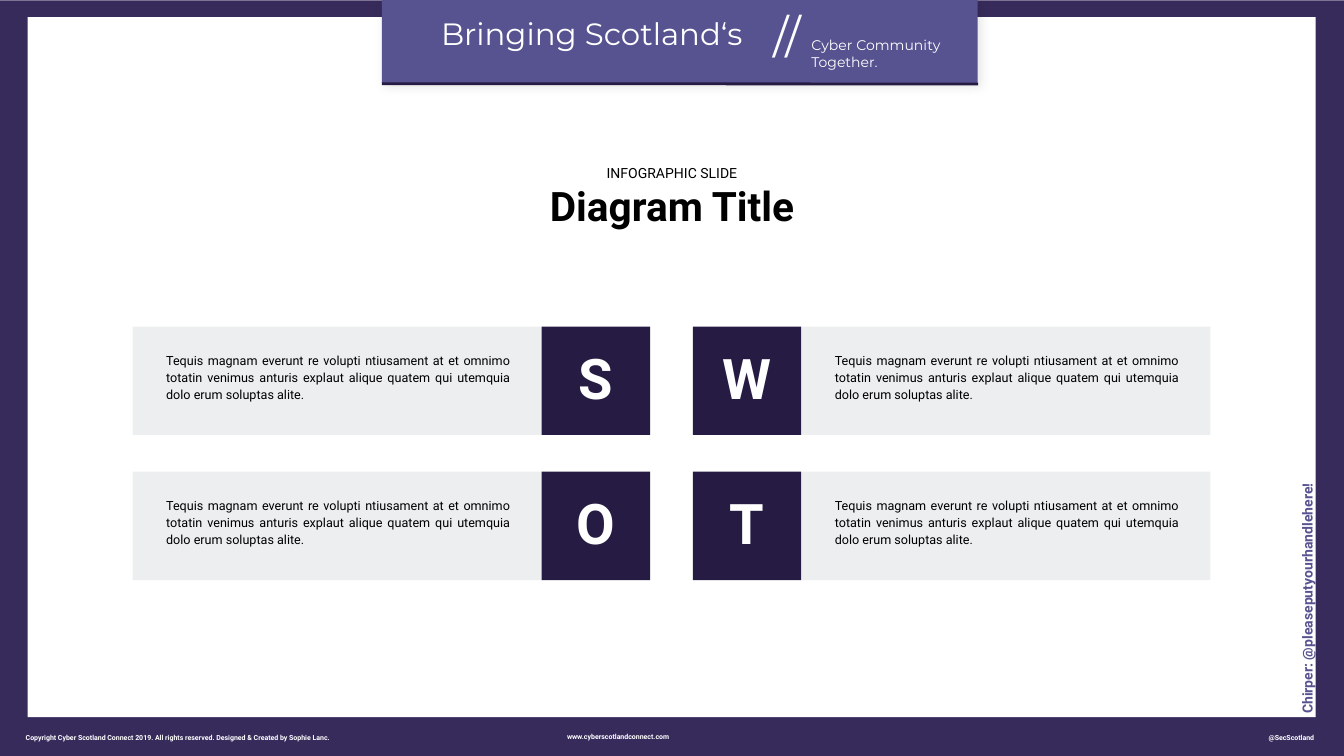
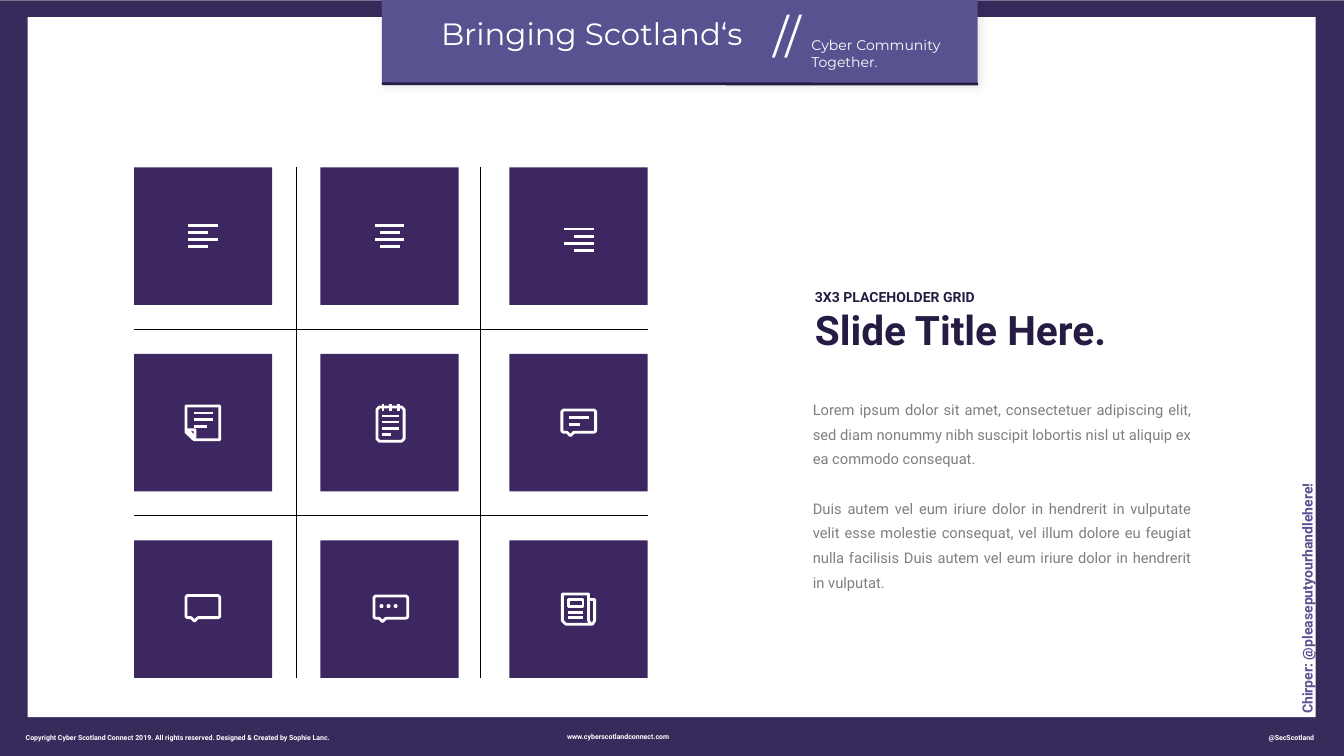
from dataclasses import dataclass
from typing import NamedTuple

from lxml import etree
from pptx import Presentation
from pptx.dml.color import RGBColor
from pptx.enum.shapes import MSO_CONNECTOR, MSO_SHAPE
from pptx.enum.text import MSO_ANCHOR, MSO_AUTO_SIZE, PP_ALIGN
from pptx.oxml.ns import qn
from pptx.util import Emu, Inches, Pt

RECT, OVAL, STRAIGHT = MSO_SHAPE.RECTANGLE, MSO_SHAPE.OVAL, MSO_CONNECTOR.STRAIGHT
LEFT, MID, JUST = PP_ALIGN.LEFT, PP_ALIGN.CENTER, PP_ALIGN.JUSTIFY
TOP, CORE, BASE = MSO_ANCHOR.TOP, MSO_ANCHOR.MIDDLE, MSO_ANCHOR.BOTTOM

# The slide is a grid of 160 columns by 90 rows of square cells.
WIDE, HIGH = Inches(26.67), Inches(15)
CELL = HIGH / 90
DOT = Inches(0.01)  # fine grid of the icons

WHITE, BLACK, GREY, PALE = "FFFFFF", "000000", "7F7F7F", "ECEEF0"
FRAME, BANNER, INK, TILE = "372B5C", "575390", "261B42", "3D2761"
BODY, HEAD = "Roboto", "Montserrat"


class Box(NamedTuple):
    """Left, top, width and height in grid cells."""
    x: float
    y: float
    w: float
    h: float


@dataclass(frozen=True)
class Label:
    text: str
    box: Box
    size: float
    hue: str = WHITE
    face: str = BODY
    bold: bool = False
    align: PP_ALIGN = MID
    anchor: MSO_ANCHOR = TOP
    inset: float = 0
    lead: float = 1
    turn: float = 0


class Path(NamedTuple):
    points: list
    closed: bool = True


@dataclass(frozen=True)
class Icon:
    """Lines (x0, y0, x1, y1), outlines and dot centres, in dots from the tile's centre."""
    lines: tuple = ()
    paths: tuple = ()
    dots: tuple = ()


def rgb(hue: str) -> RGBColor:
    return RGBColor.from_string(hue)


def cells(*counts: float) -> list:
    return [Emu(round(n * CELL)) for n in counts]


def block(shapes, kind, place, hue: str):
    shape = shapes.add_shape(kind, *place)
    shape.shadow.inherit = False
    shape.fill.solid()
    shape.fill.fore_color.rgb = rgb(hue)
    shape.line.fill.background()
    return shape


def rule(shapes, ends, hue: str, width: float) -> None:
    line = shapes.add_connector(STRAIGHT, *ends)
    line.line.color.rgb = rgb(hue)
    line.line.width = Pt(width)
    etree.SubElement(line.element.spPr, qn("a:effectLst"))


def shade(shape) -> None:
    """Give the shape a soft shadow down to the right."""
    effect = shape.element.spPr.find(qn("a:effectLst"))
    outer = etree.SubElement(effect, qn("a:outerShdw"), blurRad=str(Pt(15)),
                             dist=str(Pt(5)), dir=str(45 * 60000))
    tint = etree.SubElement(outer, qn("a:srgbClr"), val=BLACK)
    etree.SubElement(tint, qn("a:alpha"), val="10000")


def style(par, size: float, hue: str, face: str, bold: bool, align) -> None:
    par.alignment = align
    font = par.font
    font.size, font.name, font.bold = Pt(size), face, bold
    font.color.rgb = rgb(hue)


def fit(frame, anchor, inset: float) -> None:
    frame.word_wrap = True
    frame.auto_size = MSO_AUTO_SIZE.NONE
    frame.vertical_anchor = anchor
    frame.margin_left = frame.margin_right = Inches(inset)
    frame.margin_top = frame.margin_bottom = Inches(inset)


def write(slide, label: Label) -> None:
    shape = slide.shapes.add_textbox(*cells(*label.box))
    shape.rotation = label.turn
    frame = shape.text_frame
    fit(frame, label.anchor, label.inset)
    frame.text = label.text
    for par in frame.paragraphs:
        par.line_spacing = label.lead
        style(par, label.size, label.hue, label.face, label.bold, label.align)


def place(shape, box: Box) -> None:
    """Move a placeholder to the box and in front of the frame."""
    shape.left, shape.top, shape.width, shape.height = cells(*box)
    shape.element.getparent().append(shape.element)


def head(slide, lines: tuple, box: Box, hue: str, align, bold: bool) -> None:
    """Fill the title: a small line above a large bold one."""
    title = slide.shapes.title
    place(title, box)
    frame = title.text_frame
    fit(frame, TOP, 0)
    frame.text = "\n".join(lines)
    for par, size, thick in zip(frame.paragraphs, (20, 58), (bold, True)):
        style(par, size, hue, BODY, thick, align)


def prose(slide, parts: tuple, box: Box) -> None:
    """Fill the body with plain justified paragraphs."""
    body = slide.placeholders[1]
    place(body, box)
    frame = body.text_frame
    fit(frame, BASE, 0.05)
    frame.text = "\n".join(parts)
    for i, par in enumerate(frame.paragraphs):
        props = par._p.get_or_add_pPr()
        props.set("marL", "0")
        props.set("indent", "0")
        etree.SubElement(props, qn("a:buNone"))
        par.line_spacing = 1.4
        par.space_before = Pt(35 if i else 0)
        style(par, 21, GREY, BODY, False, JUST)


LABELS = (
    Label("www.cyberscotlandconnect.com", Box(66.3, 87.24, 14.58, 1.02), 10,
          bold=True, anchor=CORE),
    Label("@SecScotland", Box(150.42, 87.36, 6.66, 1.02), 10, bold=True, anchor=CORE),
    Label("Copyright Cyber Scotland Connect 2019. All rights reserved. "
          "Designed & Created by Sophie Lanc.",
          Box(0.12, 87.36, 42.06, 1.02), 10, bold=True, anchor=CORE),
    Label("Bringing Scotland‘s", Box(51.54, 1.8, 37.86, 4.44), 44, face=HEAD),
    Label("//", Box(85.2, 0.9, 16.98, 6.54), 65, face=HEAD),
    Label("Cyber Community\nTogether.", Box(96.6, 4.38, 19.86, 4.02), 20,
          face=HEAD, align=LEFT),
    Label("Chirper: @pleaseputyourhandlehere!", Box(141.18, 69.54, 28.92, 1.98), 20,
          BANNER, bold=True, align=LEFT, anchor=BASE, turn=270),
)


def start(deck, layout: int):
    """Add a slide with the shared frame, banner and footer."""
    slide = deck.slides.add_slide(deck.slide_layouts[layout])
    shapes = slide.shapes
    block(shapes, RECT, cells(0, 0.06, 160, 89.94), FRAME)
    block(shapes, RECT, cells(3.3, 2.04, 153.36, 83.34), WHITE)
    shade(block(shapes, RECT, cells(45.48, 0, 70.92, 9.9), BANNER))
    rule(shapes, cells(45.48, 9.96, 116.46, 10), INK, 4)
    for label in LABELS:
        write(slide, label)
    return slide


SIDE, PANEL = 12.9, 48.72  # letter square and text panel
CARDS = (("S", "W"), ("O", "T"))
NOTE = ("Tequis magnam everunt re volupti ntiusament at et omnimo totatin venimus "
        "anturis explaut alique quatem qui utemquia dolo erum soluptas alite.")


def swot(deck) -> None:
    slide = start(deck, 5)
    head(slide, ("INFOGRAPHIC SLIDE", "Diagram Title"),
         Box(41.52, 19.56, 76.98, 7.86), BLACK, MID, False)
    for row, pair in enumerate(CARDS):
        y = 38.88 + 17.28 * row
        for letter, wide, square in zip(pair, (15.78, 95.4), (64.5, 82.5)):
            block(slide.shapes, RECT, cells(wide, y, PANEL, SIDE), PALE)
            block(slide.shapes, RECT, cells(square, y, SIDE, SIDE), INK)
            write(slide, Label(NOTE, Box(wide + 3.7, y + 2.7, 41.58, 7.56), 18, BLACK,
                               align=JUST, inset=0.05, lead=1.1))
            write(slide, Label(letter, Box(square + 0.87, y + 1.14, 11.22, 9.78), 80,
                               bold=True, anchor=CORE, inset=0.05))


def bars(top: int, step: int, *spans: tuple) -> tuple:
    """Horizontal lines at equal steps, one for each span (x0, x1)."""
    return tuple((a, top + step * i, b, top + step * i) for i, (a, b) in enumerate(spans))


def bubble(x: int, y: int) -> Path:
    """Speech bubble with its top left corner at x, y."""
    points = [(64, 0), (3, 0), (0, 3), (0, 42), (3, 44), (10, 44), (17, 51), (24, 44),
              (64, 44), (67, 42), (67, 3)]
    return Path([(x + a, y + b) for a, b in points])


PAGE = Path([(-18, 34), (33, 34), (33, -33), (-34, -33), (-34, 19)])
FOLD = Path([(-16, 30), (-16, 14), (-31, 14)])
PAD = Path([(24, -31), (29, -26), (29, 32), (24, 37), (-20, 37), (-25, 32),
            (-25, -26), (-20, -31)])
RINGS = tuple((x, -36, x, -24) for x in (-13, 2, 17))
SHEET = Path([(20, -19), (32, -19), (32, 23), (28, 30), (25, 30), (20, 23), (20, -30),
              (-32, -30), (-32, 23), (-25, 30), (25, 30)], False)
PHOTO = Path([(9, -5), (-20, -5), (-20, -19), (9, -19)])

ICONS = (
    (Icon(bars(-21, 14, *[(-30, 29), (-30, 9)] * 2)),
     Icon(bars(-21, 14, *[(-29, 28), (-19, 20)] * 2)),
     Icon(bars(-14, 14, *[(-29, 30), (-9, 30)] * 2))),
    (Icon(bars(-19, 13, (-18, 19), (-18, 19), (-18, 7)), (FOLD, PAGE)),
     Icon(RINGS + bars(-13, 12, *[(-14, 18)] * 3, (-14, 3)), (PAD,)),
     Icon(bars(-10, 14, (-19, 20), (-19, 2)), (bubble(-33, -25),))),
    (Icon(paths=(bubble(-34, -27),)),
     Icon(paths=(bubble(-31, -26),), dots=((-16, -6), (-2, -6), (12, -6))),
     Icon(bars(6, 11, (-20, 9), (-20, 9)), (SHEET, PHOTO))),
)


def draw(slide, icon: Icon, x: int, y: int) -> None:
    """Draw the icon as one group around the point x, y."""
    shapes = slide.shapes.add_group_shape().shapes
    for path in icon.paths:
        pen = shapes.build_freeform(*path.points[0], scale=DOT)
        pen.add_line_segments(path.points[1:], close=path.closed)
        shape = pen.convert_to_shape(x, y)
        shape.shadow.inherit = False
        shape.fill.background()
        shape.line.color.rgb = rgb(WHITE)
        shape.line.width = Pt(4)
    for a, b, c, d in icon.lines:
        rule(shapes, (x + a * DOT, y + b * DOT, x + c * DOT, y + d * DOT), WHITE, 4)
    for a, b in icon.dots:
        block(shapes, OVAL, (x + (a - 4) * DOT, y + (b - 4) * DOT, 8 * DOT, 8 * DOT), WHITE)


COLS = (15.96, 38.16, 60.66)
ROWS = [19.92 + 22.2 * i for i in range(3)]
TILEW, TILEH = 16.44, 16.38


def tiles(deck) -> None:
    slide = start(deck, 1)
    for x in (35.28, 57.18):
        rule(slide.shapes, cells(x, ROWS[0], x, ROWS[2] + TILEH), BLACK, 1)
    for upper, lower in zip(ROWS, ROWS[1:]):
        y = (upper + TILEH + lower) / 2
        rule(slide.shapes, cells(COLS[0], y, COLS[2] + TILEW, y), BLACK, 1)
    for y, icons in zip(ROWS, ICONS):
        for x, icon in zip(COLS, icons):
            block(slide.shapes, RECT, cells(x, y, TILEW, TILEH), TILE)
            draw(slide, icon, *cells(x + TILEW / 2, y + TILEH / 2))
    head(slide, ("3X3 PLACEHOLDER GRID", "Slide Title Here."),
         Box(97.02, 34.32, 37.02, 7.86), INK, LEFT, True)
    prose(slide, (
        "Lorem ipsum dolor sit amet, consectetuer adipiscing elit, sed diam nonummy "
        "nibh suscipit lobortis nisl ut aliquip ex ea commodo consequat.",
        "Duis autem vel eum iriure dolor in hendrerit in vulputate velit esse molestie "
        "consequat, vel illum dolore eu feugiat nulla facilisis Duis autem vel eum "
        "iriure dolor in hendrerit in vulputat."), Box(96.48, 46.62, 45.66, 24.06))


def main() -> None:
    deck = Presentation()
    deck.slide_width, deck.slide_height = WIDE, HIGH
    swot(deck)
    tiles(deck)
    deck.save("out.pptx")


if __name__ == "__main__":
    main()
